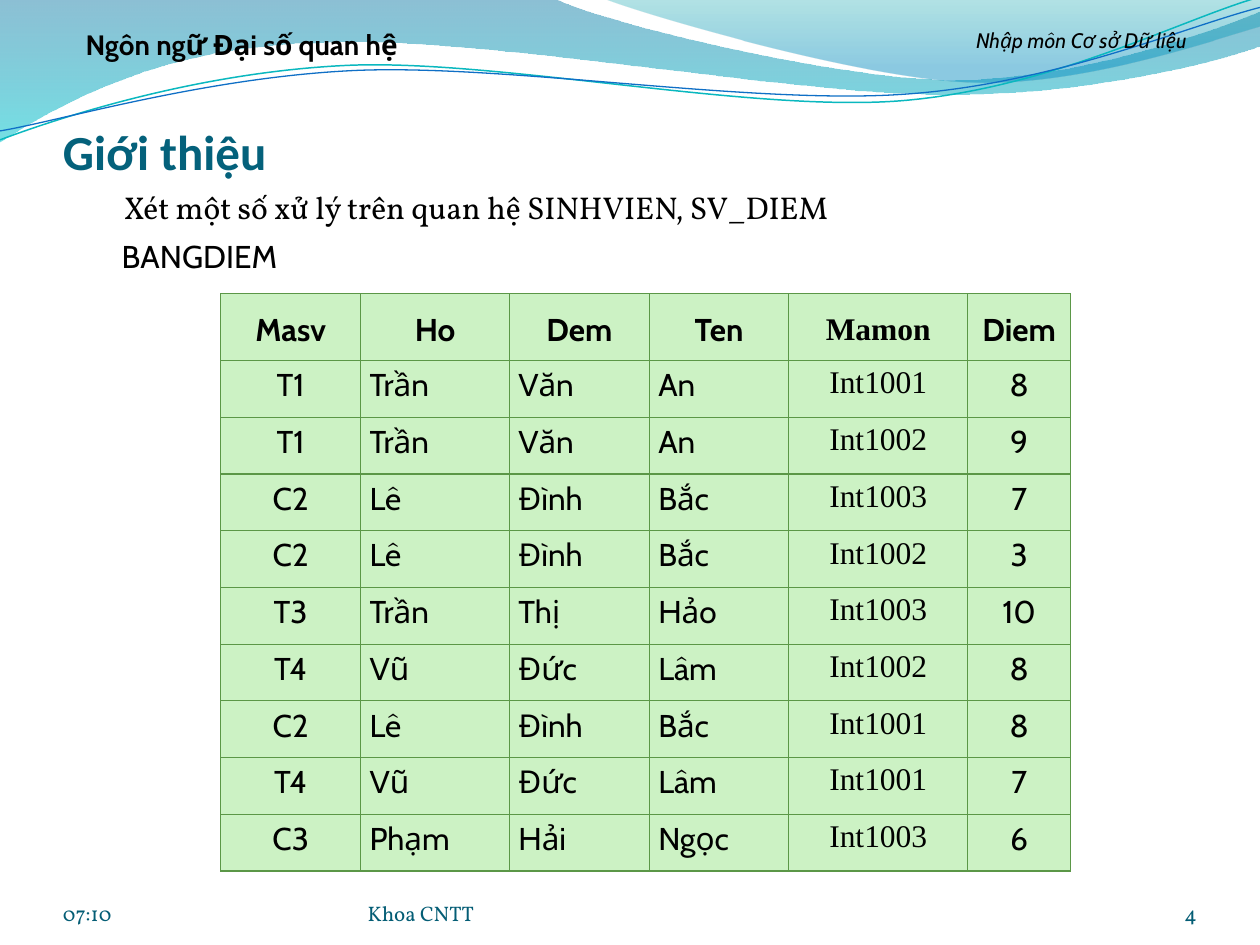
from pptx import Presentation
from pptx.dml.color import RGBColor
from pptx.enum.text import MSO_ANCHOR, PP_ALIGN
from pptx.oxml.ns import qn
from pptx.util import Cm, Pt
from lxml import etree

LEFT, CENTER, RIGHT = PP_ALIGN.LEFT, PP_ALIGN.CENTER, PP_ALIGN.RIGHT
TOP, MIDDLE, BOTTOM = MSO_ANCHOR.TOP, MSO_ANCHOR.MIDDLE, MSO_ANCHOR.BOTTOM

BLACK = RGBColor(0x00, 0x00, 0x00)
TITLE_BLUE = RGBColor(0x04, 0x61, 0x7B)
FOOTER_BLUE = RGBColor(0x04, 0x5D, 0x75)
DEEP_BLUE = RGBColor(0x00, 0x74, 0xA1)
CYAN = RGBColor(0x00, 0xC6, 0xCF)
TEAL = RGBColor(0x00, 0xA1, 0xA9)
SKY = RGBColor(0x00, 0x8B, 0xBF)
TEAL_LINE = RGBColor(0x0A, 0xB8, 0xBF)
BLUE_LINE = RGBColor(0x0F, 0x6F, 0xC6)
CELL_GREEN = RGBColor(0xCC, 0xF2, 0xC4)
BORDER_GREEN = RGBColor(0x5B, 0x97, 0x47)

# Outlines in cm: a segment with one point is straight, with three a Bezier curve
BROAD_WAVE = [
    [(0, -0.03)], [(11.18, -0.03)],
    [(12.09, 0.43), (16.87, 1.6), (19.25, 1.6)],
    [(21.67, 1.6), (24.33, 0.66), (25.4, 0.23)],
    [(25.43, 0.91)],
    [(24.97, 1.12), (22.1, 1.93), (18.95, 1.9)],
    [(15.8, 1.9), (9.7, 0.71), (6.53, 0.86)],
    [(3.28, 0.89), (1.17, 2.11), (-0.03, 2.87)],
    [(0, -0.03)],
]
RIGHT_WAVE = [
    [(12.17, -0.03)],
    [(12.93, 0.28), (17.32, 1.57), (19.53, 1.65)],
    [(21.74, 1.75), (24.41, 0.81), (25.4, 0.53)],
    [(25.4, 0)], [(12.17, -0.03)],
]
# The strands are given level and then tilted
STRAND_TILT = -2.7
TEAL_STRAND = [
    [(-0.05, 2.22)],
    [(1.19, 1.82), (4.02, 1.04), (7.05, 1.05)],
    [(10.05, 1.07), (15.02, 2.37), (18.08, 2.29)],
    [(21.13, 2.2), (23.87, 0.91), (25.41, 0.55)],
]
BLUE_STRAND = [
    [(-0.04, 2.04)],
    [(1.16, 1.9), (4.18, 1.15), (7.2, 1.16)],
    [(10.25, 1.18), (15.13, 2.23), (18.19, 2.16)],
    [(21.22, 2.1), (23.94, 1.06), (25.45, 0.75)],
]

GRADES = [
    ("Masv", "Ho", "Dem", "Ten", "Mamon", "Diem"),
    ("T1", "Trần", "Văn", "An", "Int1001", "8"),
    ("T1", "Trần", "Văn", "An", "Int1002", "9"),
    ("C2", "Lê", "Đình", "Bắc", "Int1003", "7"),
    ("C2", "Lê", "Đình", "Bắc", "Int1002", "3"),
    ("T3", "Trần", "Thị", "Hảo", "Int1003", "10"),
    ("T4", "Vũ", "Đức", "Lâm", "Int1002", "8"),
    ("C2", "Lê", "Đình", "Bắc", "Int1001", "8"),
    ("T4", "Vũ", "Đức", "Lâm", "Int1001", "7"),
    ("C3", "Phạm", "Hải", "Ngọc", "Int1003", "6"),
]
COLUMN_WIDTHS = [2.82, 3, 2.82, 2.81, 3.61, 2.07]
TABLE_HEIGHT, HEADER_HEIGHT = 11.64, 1.35
ROW_HEIGHT = (TABLE_HEIGHT - HEADER_HEIGHT) / (len(GRADES) - 1)
NAME_COLUMNS = (1, 2, 3)
COURSE_COLUMN = 4


def add_outline(slide, segments):
    """Draw the corner points, then bend the curved segments."""
    start, *corners = [tuple(map(Cm, segment[-1])) for segment in segments]
    builder = slide.shapes.build_freeform(*start)
    builder.add_line_segments(corners, close=start == corners[-1])
    outline = builder.convert_to_shape()
    outline.shadow.inherit = False
    sides = list(outline._element.iter(qn("a:lnTo")))
    for side, segment in zip(sides, segments[1:]):
        if len(segment) == 3:
            curve = etree.Element(qn("a:cubicBezTo"))
            for x, y in segment:
                etree.SubElement(curve, qn("a:pt"), x=str(Cm(x) - outline.left),
                                 y=str(Cm(y) - outline.top))
            side.getparent().replace(side, curve)
    return outline


def add_wave(slide, segments, stops):
    """Add a filled wave; each stop is (position, colour, opacity in percent)."""
    wave = add_outline(slide, segments)
    wave.line.fill.background()
    wave.fill.gradient()
    wave.fill.gradient_angle = 270
    for stop, (position, color, _) in zip(wave.fill.gradient_stops, stops):
        stop.position = position
        stop.color.rgb = color
    colors = wave._element.spPr.iter(qn("a:srgbClr"))
    for color, (_, _, opacity) in zip(list(colors), stops):
        etree.SubElement(color, qn("a:alpha"), val=str(opacity * 1000))


def add_strand(slide, segments, color, width):
    strand = add_outline(slide, segments)
    strand.rotation = STRAND_TILT
    strand.fill.background()
    strand.line.color.rgb = color
    strand.line.width = Pt(width)


def format_text(paragraph, font_name, size, color, align, bold=False, italic=False):
    paragraph.alignment = align
    for run in paragraph.runs:
        font = run.font
        font.name, font.size = font_name, Pt(size)
        font.bold, font.italic = bold, italic
        font.color.rgb = color


def add_text(slide, text, box, font_name, size, color=BLACK, align=LEFT,
             anchor=TOP, insets=(0.25, 0.13, 0.25, 0.13), **style):
    frame = slide.shapes.add_textbox(*map(Cm, box)).text_frame
    frame.word_wrap = True
    frame.vertical_anchor = anchor
    (frame.margin_left, frame.margin_top,
     frame.margin_right, frame.margin_bottom) = map(Cm, insets)
    frame.text = text
    format_text(frame.paragraphs[0], font_name, size, color, align, **style)


def add_borders(cell):
    properties = cell._tc.get_or_add_tcPr()
    for index, side in enumerate(("a:lnL", "a:lnR", "a:lnT", "a:lnB")):
        border = etree.Element(qn(side), w=str(Pt(0.75)))
        fill = etree.SubElement(border, qn("a:solidFill"))
        etree.SubElement(fill, qn("a:srgbClr"), val=str(BORDER_GREEN))
        properties.insert(index, border)


def add_grades(slide):
    table = slide.shapes.add_table(len(GRADES), len(COLUMN_WIDTHS), Cm(4.45), Cm(5.92),
                                   Cm(sum(COLUMN_WIDTHS)), Cm(TABLE_HEIGHT)).table
    for column, width in zip(table.columns, COLUMN_WIDTHS):
        column.width = Cm(width)
    for r, record in enumerate(GRADES):
        header = r == 0
        table.rows[r].height = Cm(HEADER_HEIGHT if header else ROW_HEIGHT)
        for c, value in enumerate(record):
            cell = table.cell(r, c)
            cell.fill.solid()
            cell.fill.fore_color.rgb = CELL_GREEN
            add_borders(cell)
            cell.margin_left = cell.margin_right = Cm(0.18)
            cell.margin_top = cell.margin_bottom = 0
            cell.vertical_anchor = MIDDLE if header else TOP
            cell.text_frame.text = value
            paragraph = cell.text_frame.paragraphs[0]
            paragraph.line_spacing = 1.15
            format_text(paragraph, "Times New Roman" if c == COURSE_COLUMN else "Cabin", 18,
                        BLACK, LEFT if c in NAME_COLUMNS and not header else CENTER,
                        bold=header)


def main():
    prs = Presentation()
    prs.slide_width, prs.slide_height = Cm(25.4), Cm(19.05)
    slide = prs.slides.add_slide(prs.slide_layouts[6])

    # Wave decoration
    add_wave(slide, BROAD_WAVE, [(0, DEEP_BLUE, 45), (1, CYAN, 55)])
    add_wave(slide, RIGHT_WAVE, [(0, TEAL, 30), (0.8, SKY, 45)])
    add_strand(slide, TEAL_STRAND, TEAL_LINE, 0.85)
    add_strand(slide, BLUE_STRAND, BLUE_LINE, 0.75)

    # Title and introduction
    add_text(slide, "Giới thiệu", (1.27, 1.9, 22.86, 1.73), "Calibri", 28, TITLE_BLUE,
             anchor=BOTTOM, insets=(0, 0.13, 0, 0), bold=True)
    add_text(slide, "Xét một số xử lý trên quan hệ SINHVIEN, SV_DIEM",
             (1.48, 3.38, 22.86, 1.7), "Vollkorn", 18, insets=(1.02, 0.42, 0.25, 0.13))

    # Footer
    for text, left, width, align in (("07:10", 1.27, 5.93, LEFT),
                                     ("4", 22.01, 2.12, RIGHT),
                                     ("Khoa CNTT", 7.41, 9.31, LEFT)):
        add_text(slide, text, (left, 17.66, width, 1.01), "Vollkorn", 12, FOOTER_BLUE,
                 align, BOTTOM, insets=(0, 0, 0, 0))

    # Running heads
    add_text(slide, "Nhập môn Cơ sở Dữ liệu", (18.2, 0.42, 7.2, 0.97), "Cabin", 12,
             align=CENTER, italic=True)
    add_text(slide, "Ngôn ngữ Đại số quan hệ", (0.64, 0.42, 8.47, 0.94), "Cabin", 16,
             align=CENTER, bold=True)

    # Grade table
    add_text(slide, "BANGDIEM", (1.48, 4.64, 5.08, 1.02), "Cabin", 18, align=CENTER)
    add_grades(slide)

    prs.save("out.pptx")


if __name__ == "__main__":
    main()
